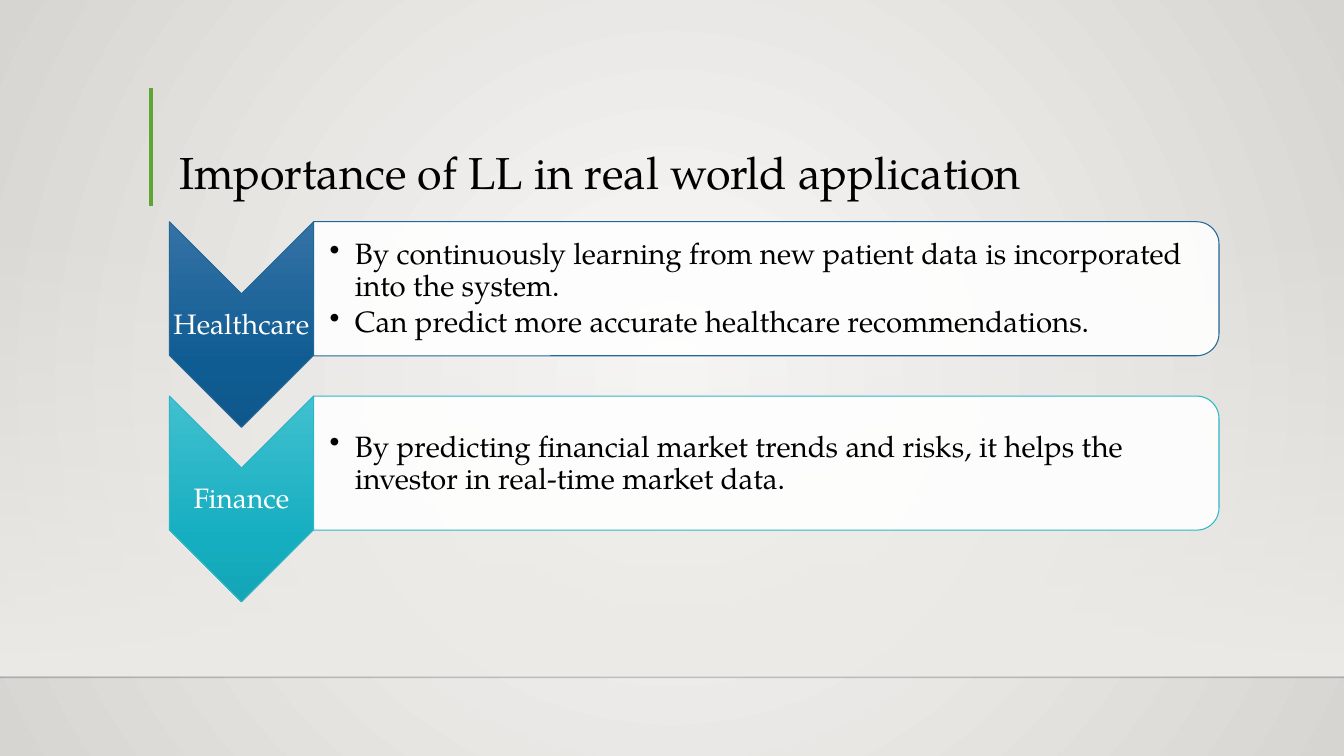
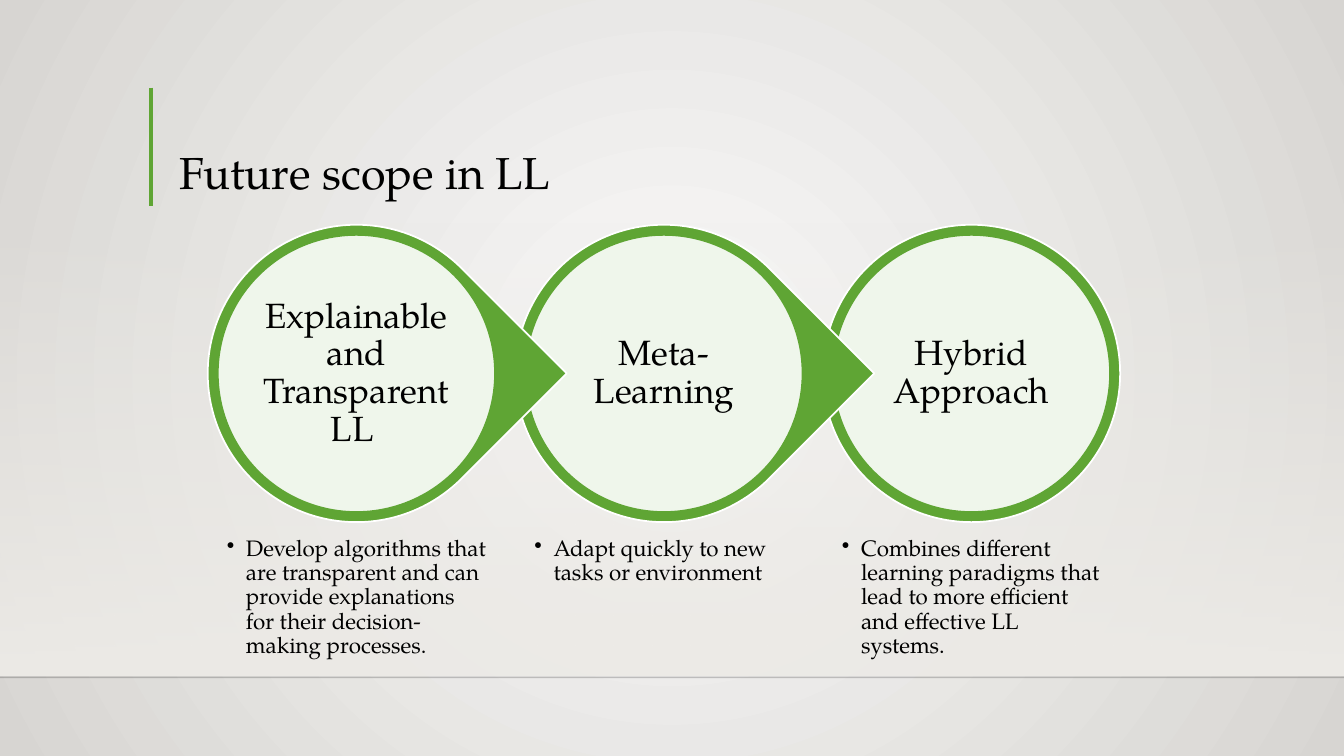
import dataclasses
import typing

import lxml.etree
import pptx
import pptx.dml.color
import pptx.enum.shapes
import pptx.enum.text
import pptx.oxml
import pptx.oxml.ns
import pptx.util

Inches, Pt, qn = pptx.util.Inches, pptx.util.Pt, pptx.oxml.ns.qn
SHAPE = pptx.enum.shapes.MSO_SHAPE
ANCHOR = pptx.enum.text.MSO_ANCHOR
ALIGN = pptx.enum.text.PP_ALIGN

FONT = "TeX Gyre Pagella"
BLACK, WHITE, GREEN = "000000", "FFFFFF", "5FA534"
BAND, HORIZON = "EDEBE7", "000001"
WIDTH, HEIGHT = 13.33, 7.5


class Box(typing.NamedTuple):
    """Left, top, width and height in inches."""
    x: float
    y: float
    w: float
    h: float

    def turned(self) -> "Box":
        """Return the frame that covers this box once rotated by 90 degrees."""
        return Box(self.x + (self.w - self.h) / 2, self.y + (self.h - self.w) / 2, self.h, self.w)

    def inset(self, d: float) -> "Box":
        """Return the box shrunk by d on every side."""
        return Box(self.x + d, self.y + d, self.w - 2 * d, self.h - 2 * d)

    def lengths(self) -> list:
        """Return the four lengths for python-pptx."""
        return [Inches(v) for v in self]


class Stop(typing.NamedTuple):
    """One gradient stop; position and opacity in percent."""
    pos: int
    color: str
    alpha: int = 100


@dataclasses.dataclass
class TextStyle:
    """Look of the paragraphs in one text box."""
    size: float
    color: str = BLACK
    align: typing.Any = ALIGN.LEFT
    anchor: typing.Any = ANCHOR.MIDDLE
    insets: tuple = (0.01, 0.01, 0.01, 0.01)
    after: float = 0
    bullet_indent: float = 0


@dataclasses.dataclass
class Sector:
    """A chevron label with its card of points."""
    name: str
    points: list
    stops: list
    line: str


@dataclasses.dataclass
class Topic:
    """A circle label with the point below it."""
    name: str
    point: str


TITLE = TextStyle(32, anchor=ANCHOR.BOTTOM, insets=(0.1, 0.05, 0.1, 0.05))
SECTOR_LABEL = TextStyle(20, WHITE, ALIGN.CENTER, after=0.35)
SECTOR_POINTS = TextStyle(21, insets=(0.16, 0.01, 0.01, 0.01), after=0.15, bullet_indent=0.25)
TOPIC_LABEL = TextStyle(25, align=ALIGN.CENTER, insets=(0.03,) * 4, after=0.35)
TOPIC_POINT = TextStyle(16, anchor=ANCHOR.TOP, insets=(0.09,) * 4, after=0.15, bullet_indent=0.19)

SECTORS = [
    Sector("Healthcare",
           ["By continuously learning from new patient data is incorporated into the system.",
            "Can predict more accurate healthcare recommendations."],
           [Stop(0, "3572A5"), Stop(69, "0F5C93"), Stop(100, "0F588B")], "236797"),
    Sector("Finance",
           ["By predicting financial market trends and risks, it helps the investor in "
            "real-time market data."],
           [Stop(0, "41C0D0"), Stop(69, "15AEC0"), Stop(100, "14A5B6")], "2FB6C6"),
]
TOPICS = [
    Topic("Explainable and Transparent LL ",
          "Develop algorithms that are transparent and can provide explanations for their "
          "decision-making processes."),
    Topic("Meta-Learning", "Adapt quickly to new tasks or environment"),
    Topic("Hybrid Approach",
          "Combines different learning paradigms that lead to more efficient and effective "
          "LL systems."),
]


def rgb(color: str) -> pptx.dml.color.RGBColor:
    """Turn a hex string into a colour."""
    return pptx.dml.color.RGBColor.from_string(color)


def fade(element, percent: int) -> None:
    """Set the opacity of the first colour in an element."""
    clr = next(element.iter(qn("a:srgbClr")))
    lxml.etree.SubElement(clr, qn("a:alpha")).set("val", str(percent * 1000))


def set_gradient(fill, element, stops: list, radial: bool = False) -> None:
    """Give a fill inside an element a vertical or radial gradient."""
    fill.solid()
    fill.fore_color.rgb = rgb(WHITE)
    solid = next(element.iter(qn("a:solidFill")))
    marks = "".join(
        f'<a:gs pos="{g.pos * 1000}"><a:srgbClr val="{g.color}">'
        f'<a:alpha val="{g.alpha * 1000}"/></a:srgbClr></a:gs>' for g in stops)
    course = ('<a:path path="circle"><a:fillToRect l="50000" t="50000" r="50000" b="50000"/></a:path>'
              if radial else '<a:lin ang="5400000" scaled="0"/>')
    solid.getparent().replace(solid, pptx.oxml.parse_xml(
        f'<a:gradFill {pptx.oxml.ns.nsdecls("a")} rotWithShape="0">'
        f'<a:gsLst>{marks}</a:gsLst>{course}</a:gradFill>'))


def add_shape(s, kind, box: Box, fill: typing.Union[str, list], line: str = "",
              width: float = 0.75, alpha: int = 100, rotation: float = 0):
    """Draw a preset shape with a plain or gradient fill."""
    sp = s.shapes.add_shape(kind, *box.lengths())
    sp.shadow.inherit = False
    sp.rotation = rotation
    if isinstance(fill, str):
        sp.fill.solid()
        sp.fill.fore_color.rgb = rgb(fill)
        if alpha < 100:
            fade(sp._element.spPr, alpha)
    else:
        set_gradient(sp.fill, sp._element.spPr, fill)
    if line:
        sp.line.color.rgb = rgb(line)
        sp.line.width = Pt(width)
    else:
        sp.line.fill.background()
    return sp


def add_line(s, start: tuple, end: tuple, color: str, width: float):
    """Draw a straight line without shadow."""
    cn = s.shapes.add_connector(pptx.enum.shapes.MSO_CONNECTOR.STRAIGHT,
                                *[Inches(v) for v in start + end])
    cn.line.color.rgb = rgb(color)
    cn.line.width = Pt(width)
    lxml.etree.SubElement(cn._element.spPr, qn("a:effectLst"))
    return cn


def add_text(s, box: Box, lines: list, style: TextStyle) -> None:
    """Write paragraphs, bulleted when the style has a bullet indent."""
    tf = s.shapes.add_textbox(*box.lengths()).text_frame
    tf.word_wrap = True
    tf.vertical_anchor = style.anchor
    tf.margin_left, tf.margin_top, tf.margin_right, tf.margin_bottom = map(Inches, style.insets)
    for i, line in enumerate(lines):
        p = tf.add_paragraph() if i else tf.paragraphs[0]
        p.text = line
        p.alignment = style.align
        p.line_spacing = 0.9
        p.space_after = Pt(style.after * style.size)
        p.font.name = FONT
        p.font.size = Pt(style.size)
        p.font.color.rgb = rgb(style.color)
        if style.bullet_indent:
            p.level = 1
            pPr = p._p.get_or_add_pPr()
            pPr.set("marL", str(Inches(style.bullet_indent)))
            pPr.set("indent", str(-Inches(style.bullet_indent)))
            bullet = pptx.oxml.parse_xml(f'<a:buChar {pptx.oxml.ns.nsdecls("a")} char="•"/>')
            pPr.find(qn("a:spcAft")).addnext(bullet)


def add_slide(prs, title: str):
    """Add a slide with the shared background, band, lines and title."""
    s = prs.slides.add_slide(prs.slide_layouts[6])
    set_gradient(s.background.fill, s._element, [Stop(0, "FAFAF9"), Stop(100, "D7D5D2")], radial=True)
    add_shape(s, SHAPE.RECTANGLE, Box(0, 2.2, WIDTH, 4.5), [Stop(0, BAND, 0), Stop(100, BAND)])
    horizon = add_line(s, (0, 6.72), (WIDTH, 6.72), HORIZON, 1)
    fade(horizon._element.spPr, 20)
    add_line(s, (1.5, 0.87), (1.5, 2.04), GREEN, 3)
    add_text(s, Box(1.68, 0.88, 10.41, 1.15), [title], TITLE)
    return s


def add_sector(s, sector: Sector, top: float) -> None:
    """Draw a downward chevron and the card to its right."""
    chevron = Box(1.68, top, 1.43, 2.04)
    card = Box(3.11, top, 8.98, 1.33)
    add_shape(s, SHAPE.CHEVRON, chevron.turned(), sector.stops, sector.line, rotation=90)
    add_text(s, Box(chevron.x, top + 0.72, chevron.w, 0.61), [sector.name], SECTOR_LABEL)
    add_shape(s, SHAPE.ROUND_2_SAME_RECTANGLE, card.turned(), WHITE, sector.line,
              alpha=90, rotation=90)
    add_text(s, Box(card.x, top + 0.07, 8.92, 1.2), sector.points, SECTOR_POINTS)


def add_topic(s, topic: Topic, left: float, last: bool) -> None:
    """Draw a ringed circle, pointing right unless last, and its text."""
    ring = Box(left, 2.23, 2.95, 2.95)
    disc = ring.inset(0.1)
    if last:
        add_shape(s, SHAPE.OVAL, ring, GREEN, WHITE, 1.25)
    else:
        add_shape(s, SHAPE.TEAR, ring, GREEN, WHITE, 1.25, rotation=45)
    add_shape(s, SHAPE.OVAL, disc, WHITE, GREEN, 1.25, alpha=90)
    add_text(s, ring.inset(0.49), [topic.name], TOPIC_LABEL)
    add_text(s, Box(disc.x, 5.24, 2.76, 1.62), [topic.point], TOPIC_POINT)


def build() -> None:
    """Build and save both slides."""
    prs = pptx.Presentation()
    prs.slide_width, prs.slide_height = Inches(WIDTH), Inches(HEIGHT)

    s = add_slide(prs, "Importance of LL in real world application")
    for i, sector in enumerate(SECTORS):
        add_sector(s, sector, 2.2 + 1.73 * i)

    s = add_slide(prs, "Future scope in LL")
    last = len(TOPICS) - 1
    for i in range(last, -1, -1):
        add_topic(s, TOPICS[i], 2.06 + 3.05 * i, i == last)

    prs.save("out.pptx")


build()
